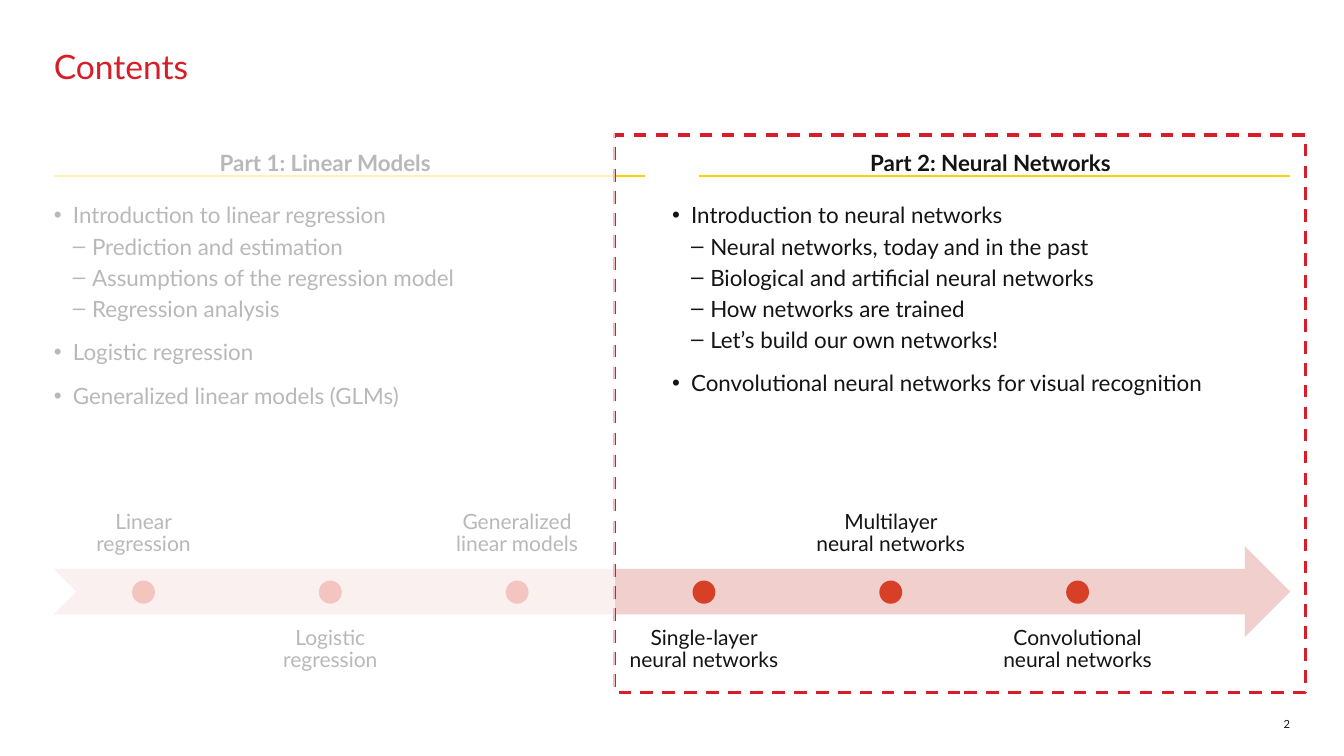
from dataclasses import dataclass

from lxml import etree
from pptx import Presentation
from pptx.dml.color import RGBColor
from pptx.enum.dml import MSO_LINE
from pptx.enum.shapes import MSO_CONNECTOR, MSO_SHAPE
from pptx.enum.text import MSO_ANCHOR, MSO_AUTO_SIZE, PP_ALIGN
from pptx.oxml.ns import qn
from pptx.util import Inches, Pt

LEFT, CENTER, RIGHT = PP_ALIGN.LEFT, PP_ALIGN.CENTER, PP_ALIGN.RIGHT
TOP, BOTTOM = MSO_ANCHOR.TOP, MSO_ANCHOR.BOTTOM
ARROW, OVAL, RECTANGLE = MSO_SHAPE.NOTCHED_RIGHT_ARROW, MSO_SHAPE.OVAL, MSO_SHAPE.RECTANGLE
STRAIGHT, DASH, NO_FIT = MSO_CONNECTOR.STRAIGHT, MSO_LINE.DASH, MSO_AUTO_SIZE.NONE

COLUMNS, ROWS = 100, 150


@dataclass(frozen=True)
class Theme:
    """Colours, type sizes and font of the slide."""
    font: str = "Lato"
    ink: str = "141414"
    red: str = "D71E28"
    yellow: str = "FFD100"
    blush: str = "F0CFCD"
    milestone: str = "D73F26"
    veil: str = "FFFFFF"
    title: int = 24
    body: int = 16
    label: int = 15
    number: int = 8


THEME = Theme()
BULLETS = (("•", 12), ("–", 3))

PARTS = (
    ("Part 1: Linear Models", 4, 24.2, 4, (
        (0, "Introduction to linear regression"),
        (1, "Prediction and estimation"),
        (1, "Assumptions of the regression model"),
        (1, "Regression analysis"),
        (0, "Logistic regression"),
        (0, "Generalized linear models (GLMs)"),
    )),
    ("Part 2: Neural Networks", 52, 73.7, 50, (
        (0, "Introduction to neural networks"),
        (1, "Neural networks, today and in the past"),
        (1, "Biological and artificial neural networks"),
        (1, "How networks are trained"),
        (1, "Let’s build our own networks!"),
        (0, "Convolutional neural networks for visual recognition"),
    )),
)
MILESTONES = (
    "Linear regression", "Logistic regression", "Generalized linear models",
    "Single-layer neural networks", "Multilayer neural networks",
    "Convolutional neural networks",
)


def write(frame, items, *, size, color=THEME.ink, bold=False, align=LEFT,
          anchor=TOP, inset=0, spacing=1.0, bullets=None):
    """Fill a text frame with (level, text) items in one format."""
    frame.word_wrap = True
    frame.auto_size = NO_FIT
    frame.vertical_anchor = anchor
    frame.margin_left = frame.margin_right = Inches(inset)
    frame.margin_top = frame.margin_bottom = Inches(inset)
    for index, (level, text) in enumerate(items):
        paragraph = frame.add_paragraph() if index else frame.paragraphs[0]
        paragraph.level = level
        before = 0
        if bullets:
            mark, before = bullets[level]
            properties = paragraph._p.get_or_add_pPr()
            properties.set("marL", str(Inches(0.19 * (level + 1))))
            properties.set("indent", str(Inches(-0.19)))
            etree.SubElement(properties, qn("a:buChar"), char=mark)
        paragraph.alignment = align
        paragraph.line_spacing = spacing
        paragraph.space_before = Pt(before if index else 0)
        paragraph.space_after = Pt(0)
        run = paragraph.add_run()
        run.text = text
        run.font.name = THEME.font
        run.font.size = Pt(size)
        run.font.bold = bold
        run.font.color.rgb = RGBColor.from_string(color)


class Canvas:
    """Draws themed elements on one slide, placed by columns and rows."""

    def __init__(self, deck, theme):
        """Open a two-content slide in the deck."""
        self.theme = theme
        self.column = deck.slide_width / COLUMNS
        self.row = deck.slide_height / ROWS
        self.slide = deck.slides.add_slide(deck.slide_layouts[3])

    def box(self, left, top, width, height):
        """Turn grid units into slide lengths."""
        return (round(left * self.column), round(top * self.row),
                round(width * self.column), round(height * self.row))

    def placeholder(self, index, area, items, **style):
        """Move a placeholder to an area and write in it."""
        holder = self.slide.placeholders[index]
        holder.left, holder.top, holder.width, holder.height = self.box(*area)
        write(holder.text_frame, items, **style)

    def text(self, area, words, **style):
        """Add a text box with a single paragraph."""
        textbox = self.slide.shapes.add_textbox(*self.box(*area))
        write(textbox.text_frame, [(0, words)], **style)

    def shape(self, kind, area, fill=None, line=None, opacity=100):
        """Add a filled shape or a dashed outline."""
        figure = self.slide.shapes.add_shape(kind, *self.box(*area))
        figure.shadow.inherit = False
        if fill:
            figure.fill.solid()
            figure.fill.fore_color.rgb = RGBColor.from_string(fill)
            if opacity < 100:
                tint = figure.fill._xPr.find(qn("a:solidFill"))[0]
                etree.SubElement(tint, qn("a:alpha"), val=str(opacity * 1000))
        else:
            figure.fill.background()
        if line:
            figure.line.color.rgb = RGBColor.from_string(line)
            figure.line.width = Pt(2.25)
            figure.line.dash_style = DASH
        else:
            figure.line.fill.background()

    def rule(self, left, top, width):
        """Add a horizontal yellow rule."""
        x, y, length, _ = self.box(left, top, width, 0)
        rule = self.slide.shapes.add_connector(STRAIGHT, x, y, x + length, y)
        rule.line.color.rgb = RGBColor.from_string(self.theme.yellow)
        rule.line.width = Pt(1.5)
        etree.SubElement(rule._element.spPr, qn("a:effectLst"))

    def milestone(self, center, name, above):
        """Add a timeline dot with its label above or below."""
        dot, label = 1.7, 13.3
        self.text((center - label / 2, 94.8 if above else 122, label, 18), name,
                  size=self.theme.label, align=CENTER, inset=0.12, spacing=0.9,
                  anchor=BOTTOM if above else TOP)
        self.shape(OVAL, (center - dot / 2, 115.2, dot, 4.6), self.theme.milestone)


def main():
    """Build the contents slide and save it."""
    deck = Presentation()
    deck.slide_width, deck.slide_height = Inches(13.333), Inches(7.5)
    canvas = Canvas(deck, THEME)

    canvas.placeholder(0, (4, 10, 92, 22), [(0, "Contents")],
                       size=THEME.title, color=THEME.red, spacing=0.9)
    for index, (heading, rule_left, center, list_left, topics) in enumerate(PARTS, 1):
        canvas.rule(rule_left, 35, 44)
        canvas.placeholder(index, (list_left, 40, 44, 50), topics,
                           size=THEME.body, bullets=BULLETS)
        canvas.text((center - 13.8, 29.6, 27.6, 4.8), heading,
                    size=THEME.body, bold=True, align=CENTER)
    canvas.text((92, 140, 4, 5), "2", size=THEME.number, align=RIGHT, anchor=BOTTOM)

    canvas.shape(ARROW, (4, 108.4, 92, 18), THEME.blush)
    for index, name in enumerate(MILESTONES):
        canvas.milestone(10.68 + 13.9 * index, name, above=index % 2 == 0)

    split = 45.75
    canvas.shape(RECTANGLE, (split, 26.8, 51.4, 110.6), line=THEME.red)
    canvas.shape(RECTANGLE, (2.85, 24.2, split - 2.85, 117.6), THEME.veil, opacity=70)
    deck.save("out.pptx")


if __name__ == "__main__":
    main()
